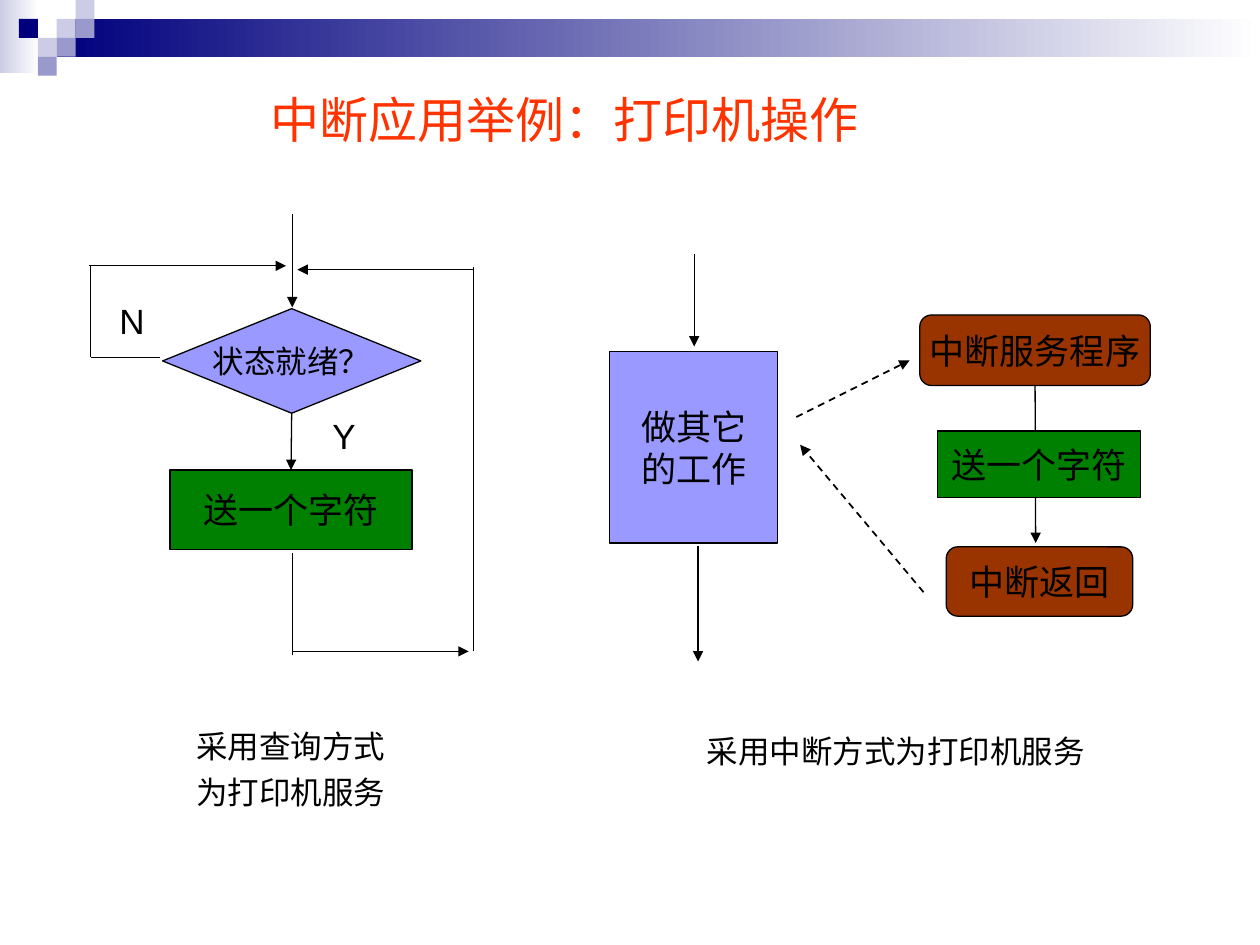
from pptx import Presentation
from pptx.dml.color import RGBColor
from pptx.enum.dml import MSO_LINE as DASH
from pptx.enum.shapes import MSO_CONNECTOR, MSO_SHAPE as SHAPE
from pptx.enum.text import MSO_ANCHOR as ANCHOR, PP_ALIGN as ALIGN
from pptx.oxml.ns import qn
from pptx.util import Inches, Pt
from lxml import etree


def rgb(value):
    return RGBColor.from_string(value)


def add_line(x1, y1, x2, y2, arrow=False, dashed=False):
    ln = s.shapes.add_connector(MSO_CONNECTOR.STRAIGHT, Inches(x1), Inches(y1), Inches(x2), Inches(y2))
    ln.line.color.rgb = rgb("000000")
    ln.line.width = Pt(1 if dashed else 0.75)
    if dashed:
        ln.line.dash_style = DASH.DASH
    if arrow:
        etree.SubElement(ln.line._get_or_add_ln(), qn("a:tailEnd"), type="triangle")
    etree.SubElement(ln._element.spPr, qn("a:effectLst"))
    return ln


prs = Presentation()
prs.slide_width, prs.slide_height = Inches(10), Inches(7.5)
s = prs.slides.add_slide(prs.slide_layouts[5])

bands = [
    (0, 0, 0.31, 0.58, "CCCCE6"),
    (0.45, 0.15, 9.55, 0.3, "00007D"),
]
for x, y, w, h, color in bands:
    sp = s.shapes.add_shape(SHAPE.RECTANGLE, Inches(x), Inches(y), Inches(w), Inches(h))
    sp.shadow.inherit = False
    sp.line.fill.background()
    sp.fill.gradient()
    sp.fill.gradient_angle = 0
    for stop, stop_color in zip(sp.fill.gradient_stops, (color, "FFFFFF")):
        stop.color.rgb = rgb(stop_color)

unit = 0.15
squares = [
    (3, 1, "CCCCE6"), (4, 0, "CCCCE6"), (4, 1, "9999CC"), (2, 2, "CCCCE6"),
    (1, 1, "00007D"), (3, 2, "9999CC"), (2, 3, "9999CC"),
]
for col, row, color in squares:
    sp = s.shapes.add_shape(SHAPE.RECTANGLE, Inches(col * unit), Inches(row * unit), Inches(unit), Inches(unit))
    sp.shadow.inherit = False
    sp.line.fill.background()
    sp.fill.solid()
    sp.fill.fore_color.rgb = rgb(color)

title = s.shapes.title
title.left, title.top, title.width, title.height = Inches(2.05), Inches(0.44), Inches(5.16), Inches(1)
tf = title.text_frame
tf.text = "中断应用举例：打印机操作"
tf.vertical_anchor = ANCHOR.MIDDLE
p = tf.paragraphs[0]
p.alignment = ALIGN.LEFT
p.font.size, p.font.name = Pt(28), "Arial"
p.font.color.rgb = rgb("FF3300")

service_line = add_line(8.22, 3.06, 8.22, 4.31, arrow=True)

boxes = [
    ("ready", SHAPE.FLOWCHART_DECISION, 1.29, 2.45, 2.05, 0.83, "9999FF", "状态就绪？", 18),
    ("send", SHAPE.FLOWCHART_PROCESS, 1.35, 3.73, 1.92, 0.63, "008000", "送一个字符", 20),
    ("work", SHAPE.FLOWCHART_PROCESS, 4.84, 2.79, 1.33, 1.52, "9999FF", "做其它\n的工作", 20),
    ("service", SHAPE.FLOWCHART_ALTERNATE_PROCESS, 7.3, 2.5, 1.83, 0.56, "993300", "中断服务程序", 20),
    ("service send", SHAPE.FLOWCHART_PROCESS, 7.44, 3.42, 1.61, 0.53, "008000", "送一个字符", 20),
    ("return", SHAPE.FLOWCHART_ALTERNATE_PROCESS, 7.51, 4.34, 1.48, 0.55, "993300", "中断返回", 20),
]
nodes = {}
for name, kind, x, y, w, h, color, text, size in boxes:
    sp = s.shapes.add_shape(kind, Inches(x), Inches(y), Inches(w), Inches(h))
    sp.shadow.inherit = False
    sp.fill.solid()
    sp.fill.fore_color.rgb = rgb(color)
    sp.line.color.rgb = rgb("000000")
    sp.line.width = Pt(0.75)
    tf = sp.text_frame
    tf.text = text
    tf.word_wrap = False
    tf.vertical_anchor = ANCHOR.MIDDLE
    for p in tf.paragraphs:
        p.alignment = ALIGN.CENTER
        p.font.size, p.font.name = Pt(size), "Arial"
        p.font.color.rgb = rgb("000000")
    nodes[name] = sp

service_line.begin_connect(nodes["service"], 2)
yes_line = add_line(2.31, 3.28, 2.31, 3.73, arrow=True)
yes_line.begin_connect(nodes["ready"], 2)
yes_line.end_connect(nodes["send"], 0)

plain_lines = [
    (1.27, 2.84, 0.72, 2.84),
    (0.72, 2.83, 0.72, 2.11),
    (2.32, 4.39, 2.32, 5.2),
    (3.76, 5.17, 3.76, 2.12),
]
for ends in plain_lines:
    add_line(*ends)

arrows = [
    (2.32, 1.7, 2.32, 2.44),
    (0.71, 2.11, 2.27, 2.11),
    (2.32, 5.17, 3.72, 5.17),
    (3.76, 2.14, 2.36, 2.14),
    (5.51, 2.02, 5.51, 2.75),
    (5.54, 4.33, 5.54, 5.25),
]
for ends in arrows:
    add_line(*ends, arrow=True)

interrupt_arrows = [(6.32, 3.31, 7.22, 2.86), (7.33, 4.7, 6.35, 3.53)]
for ends in interrupt_arrows:
    add_line(*ends, arrow=True, dashed=True)

labels = [
    (0.85, 2.33, 0.56, 0.44, "N", 20, 12.5, 1.0),
    (2.54, 3.24, 0.56, 0.44, "Y", 20, 12.5, 1.0),
    (1.46, 5.8, 2.09, 0.68, "采用查询方式\n为打印机服务", 18, 11.2, 0.7),
    (5.51, 5.84, 3.23, 0.31, "采用中断方式为打印机服务", 18, 11.2, 0.7),
]
for x, y, w, h, text, size, before, spacing in labels:
    tf = s.shapes.add_textbox(Inches(x), Inches(y), Inches(w), Inches(h)).text_frame
    tf.word_wrap = True
    tf.text = text
    for p in tf.paragraphs:
        p.space_before = Pt(before)
        p.line_spacing = spacing
        p.font.size, p.font.name = Pt(size), "Arial"
        p.font.color.rgb = rgb("000000")

prs.save("out.pptx")
